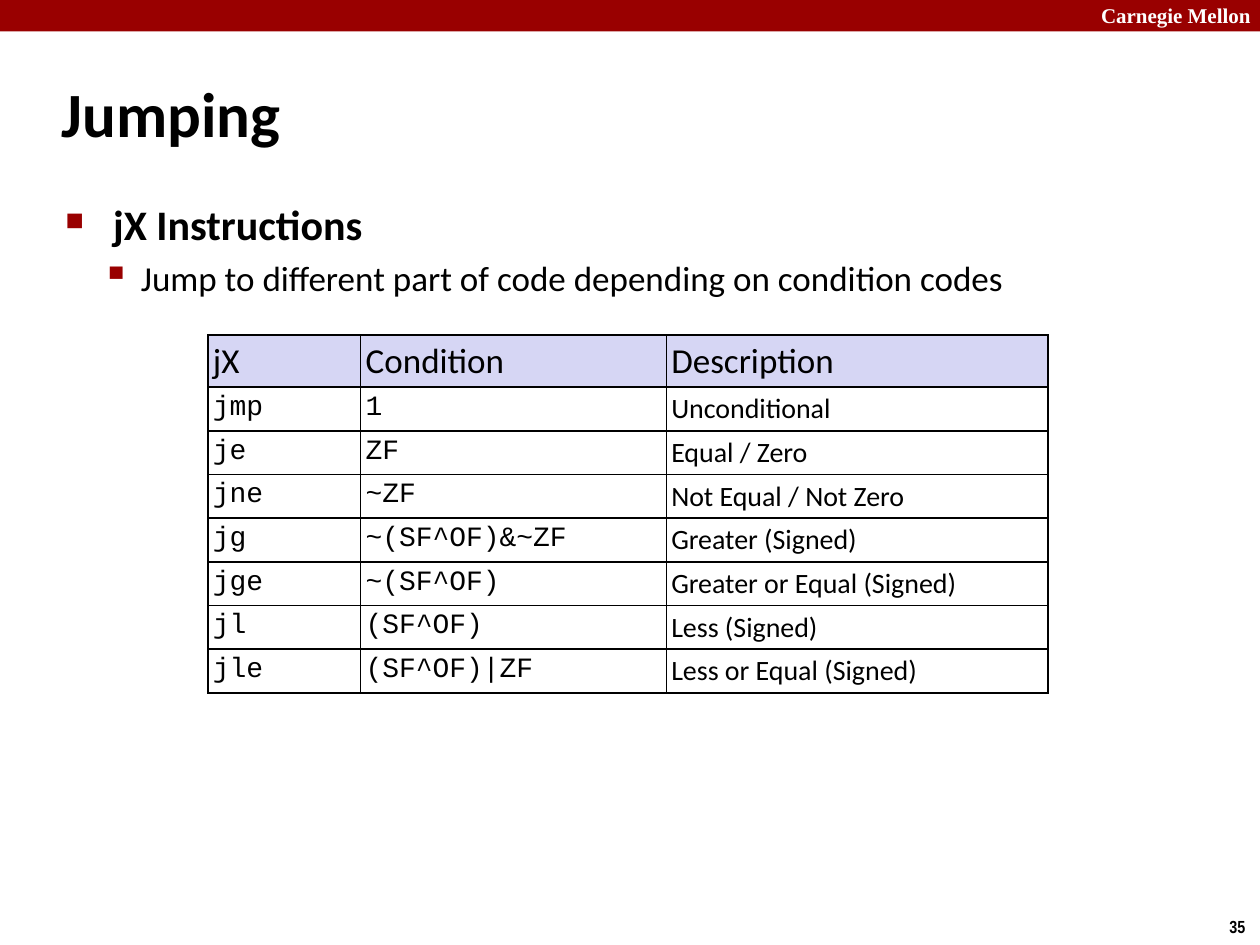
"""Build the slide on jump instructions and their condition codes."""
from lxml import etree
from pptx import Presentation, util as u
from pptx.dml.color import RGBColor
from pptx.enum import shapes, text
from pptx.oxml import parse_xml
from pptx.oxml.ns import nsdecls

RED, BLACK, WHITE, LILAC = "990000", "000000", "FFFFFF", "D6D6F4"

prs = Presentation()
prs.slide_width, prs.slide_height = u.Inches(10), u.Inches(7.5)
s = prs.slides.add_slide(prs.slide_layouts[6])
col = prs.slide_width / 100
row = prs.slide_height / 75


def rgb(value):
    return RGBColor.from_string(value)


def write(p, words, name, size, bold=False, color=BLACK):
    r = p.add_run()
    r.text = words
    fmt = {"name": name, "size": u.Pt(size), "bold": bold}
    for key, value in fmt.items():
        setattr(r.font, key, value)
    r.font.color.rgb = rgb(color)


sp = s.shapes.add_shape(shapes.MSO_SHAPE.RECTANGLE, 0, 0, prs.slide_width, int(2.5 * row))
sp.shadow.inherit = False
sp.fill.solid()
sp.fill.fore_color.rgb = rgb(RED)
sp.line.fill.background()

top, middle = text.MSO_ANCHOR.TOP, text.MSO_ANCHOR.MIDDLE
labels = [
    ((86.4, -0.3, 14.3, 3), "Carnegie Mellon", "Times New Roman", 12, WHITE, True, top),
    ((96.6, 72.2, 3.4, 2.7), "35", "Arial Narrow", 10, BLACK, False, top),
    ((3.9, 4.8, 83, 8.3), "Jumping", "Calibri", 36, BLACK, True, middle),
]
for (x, y, w, h), words, name, size, color, wrap, anchor in labels:
    tf = s.shapes.add_textbox(int(x * col), int(y * row), int(w * col), int(h * row)).text_frame
    tf.word_wrap, tf.vertical_anchor = wrap, anchor
    write(tf.paragraphs[0], words, name, size, True, color)

tf = s.shapes.add_textbox(int(4.2 * col), int(15.3 * row), int(91.7 * col), int(9.4 * row)).text_frame
tf.word_wrap = True
points = [
    ("jX Instructions", 24, True, "■", 60, 3.8, 3.8, 0),
    ("Jump to different part of code depending on condition codes", 20, False, "▪", 110, 6, 3.1, 4),
]
for i, (words, size, bold, mark, share, left, hang, before) in enumerate(points):
    p = tf.add_paragraph() if i else tf.paragraphs[0]
    p.level = i
    pPr = p._p.get_or_add_pPr()
    pPr.set("marL", str(int(left * col)))
    pPr.set("indent", str(int(-hang * col)))
    for xml in (
        f'<a:buClr {nsdecls("a")}><a:srgbClr val="{RED}"/></a:buClr>',
        f'<a:buSzPct {nsdecls("a")} val="{share * 1000}"/>',
        f'<a:buChar {nsdecls("a")} char="{mark}"/>',
    ):
        pPr.append(parse_xml(xml))
    p.space_before = u.Pt(before)
    write(p, words, "Calibri", size, bold)

rows = [
    ("jX", "Condition", "Description"),
    ("jmp", "1", "Unconditional"),
    ("je", "ZF", "Equal / Zero"),
    ("jne", "~ZF", "Not Equal / Not Zero"),
    ("jg", "~(SF^OF)&~ZF", "Greater (Signed)"),
    ("jge", "~(SF^OF)", "Greater or Equal (Signed)"),
    ("jl", "(SF^OF)", "Less (Signed)"),
    ("jle", "(SF^OF)|ZF", "Less or Equal (Signed)"),
]
shares = (2, 4, 5)
width = 66.7 * col
table = s.shapes.add_table(len(rows), len(shares), int(16.5 * col), int(26.6 * row),
                           int(width), int(28.7 * row)).table
table.first_row = table.horz_banding = False
for c, share in enumerate(shares):
    table.columns[c].width = int(width * share / sum(shares))
for i, entries in enumerate(rows):
    table.rows[i].height = int((3.4 if i else 4.1) * row)
    for c, words in enumerate(entries):
        cell = table.cell(i, c)
        for side in ("left", "right", "top", "bottom"):
            setattr(cell, f"margin_{side}", int(0.4 * col))
        tcPr = cell._tc.get_or_add_tcPr()
        for edge in "LRTB":
            tcPr.append(etree.fromstring(
                f'<a:ln{edge} {nsdecls("a")} w="{u.Pt(1)}"><a:solidFill>'
                f'<a:srgbClr val="{BLACK}"/></a:solidFill></a:ln{edge}>'))
        if i:
            cell.fill.background()
        else:
            cell.fill.solid()
            cell.fill.fore_color.rgb = rgb(LILAC)
        name = "Courier New" if i and c < 2 else "Calibri"
        write(cell.text_frame.paragraphs[0], words, name, 16 if i else 20)

prs.save("out.pptx")
